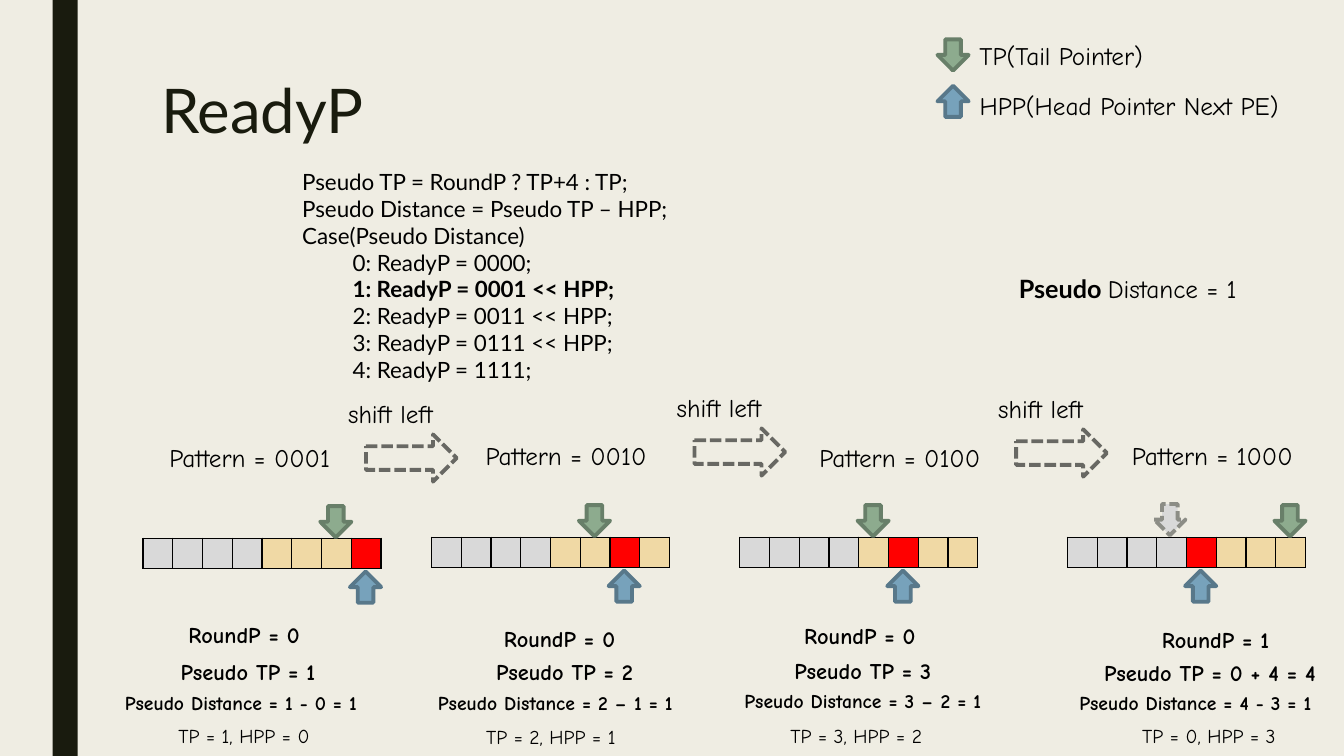
from dataclasses import dataclass

from lxml.etree import SubElement
from pptx import Presentation
from pptx.dml.color import RGBColor
from pptx.enum.dml import MSO_LINE
from pptx.enum.shapes import MSO_SHAPE
from pptx.enum.text import MSO_ANCHOR, MSO_AUTO_SIZE, PP_ALIGN
from pptx.oxml.ns import qn
from pptx.util import Pt


@dataclass(frozen=True)
class Theme:
    background: str = "EFEDE3"
    dark: str = "191B0E"
    black: str = "000000"
    red: str = "FF0000"
    sand: str = "F0D9A5"
    grey: str = "D9D9D9"
    green: str = "8DAB8E"
    green_edge: str = "687F69"
    blue: str = "77A2BB"
    blue_edge: str = "58788A"
    ghost_edge: str = "8C8D86"
    shift_edge: str = "686863"
    plain: str = "Lato"
    hand: str = "Comic Neue"
    title: int = 44
    large: int = 18
    medium: int = 16
    small: int = 14
    edge: float = 2.75


@dataclass(frozen=True)
class Step:
    cells: tuple
    tail: int
    head: int
    pattern: tuple
    round_p: tuple
    pseudo_tp: tuple
    distance: tuple
    pointers: tuple


CELL = 21.25
CELL_HEIGHT = 21.6
POINTER = 22.3

STEPS = [
    Step((102.2, 384.5), 6, 7, ("Pattern = 0001", 113.8, 312.5, 140),
         ("RoundP = 0", 95.8, 440, 157), ("Pseudo TP = 1 ", 113, 466.6, 134),
         ("Pseudo Distance = 1 - 0 = 1 ", 64.8, 490.3, 219.6),
         ("TP = 1, HPP = 0", 95.8, 513.4, 157)),
    Step((308.2, 383.8), 5, 6, ("Pattern = 0010", 339.8, 311, 140),
         ("RoundP = 0", 321.1, 442.8, 157), ("Pseudo TP = 2 ", 339.1, 466.6, 134),
         ("Pseudo Distance = 2 – 1 = 1 ", 290.9, 490.3, 216.7),
         ("TP = 2, HPP = 1", 316.1, 514.1, 154.8)),
    Step((528.5, 383.8), 4, 5, ("Pattern = 0100", 578.2, 312.5, 140),
         ("RoundP = 0", 535.7, 440.6, 157), ("Pseudo TP = 3 ", 552.2, 465.8, 134),
         ("Pseudo Distance = 3 – 2 = 1 ", 510.5, 488.9, 216.7),
         ("TP = 3, HPP = 2", 534.2, 513.4, 154.8)),
    Step((762.5, 383.8), 7, 4, ("Pattern = 1000", 801.4, 311, 143.3),
         ("RoundP = 1", 789.8, 443.5, 157), ("Pseudo TP = 0 + 4 = 4", 766.8, 467.3, 195),
         ("Pseudo Distance = 4 - 3 = 1 ", 746.6, 490.3, 219.6),
         ("TP = 0, HPP = 3", 786.2, 513.4, 154.8)),
]
GHOST_TAIL = 3
SHIFTS = [(261.4, 310.3), (496.1, 306), (725.8, 306.7)]
CODE_HEAD = [
    "Pseudo TP = RoundP ? TP+4 : TP;",
    "Pseudo Distance = Pseudo TP – HPP;",
    "Case(Pseudo Distance)",
]
CODE_CASES = [
    "0: ReadyP = 0000;",
    "1: ReadyP = 0001 << HPP;",
    "2: ReadyP = 0011 << HPP;",
    "3: ReadyP = 0111 << HPP;",
    "4: ReadyP = 1111;",
]
ACTIVE_CASE = CODE_CASES[1]


class Board:
    def __init__(self, slide, theme):
        self.slide = slide
        self.theme = theme
        slide.background.fill.solid()
        slide.background.fill.fore_color.rgb = RGBColor.from_string(theme.background)

    def format(self, run, size, font, bold=False, color=None):
        run.font.size = Pt(size)
        run.font.name = font
        run.font.bold = bold
        run.font.color.rgb = RGBColor.from_string(color or self.theme.black)

    def title(self, text, left, top, width, height):
        title = self.slide.shapes.title
        title.left, title.top, title.width, title.height = map(Pt, (left, top, width, height))
        frame = title.text_frame
        frame.text = text
        frame.vertical_anchor = MSO_ANCHOR.TOP
        frame.paragraphs[0].alignment = PP_ALIGN.LEFT
        frame.paragraphs[0].line_spacing = 0.89
        self.format(frame.paragraphs[0].runs[0], self.theme.title, self.theme.plain,
                    color=self.theme.dark)

    def label(self, text, left, top, width, size, font=None, bold=False,
              centred=False, wrap=False):
        lines = text.count("\n") + 1
        box = self.slide.shapes.add_textbox(
            Pt(left), Pt(top), Pt(width), Pt(size * 1.2 * lines + 7.4))
        frame = box.text_frame
        frame.text = text
        frame.word_wrap = wrap
        frame.auto_size = MSO_AUTO_SIZE.SHAPE_TO_FIT_TEXT
        for paragraph in frame.paragraphs:
            paragraph.alignment = PP_ALIGN.CENTER if centred else PP_ALIGN.LEFT
            self.format(paragraph.runs[0], size, font or self.theme.hand, bold)
        return frame

    def shape(self, kind, left, top, width, height, fill=None, edge=None, dashed=False):
        shape = self.slide.shapes.add_shape(kind, Pt(left), Pt(top), Pt(width), Pt(height))
        shape.shadow.inherit = False
        if fill:
            shape.fill.solid()
            shape.fill.fore_color.rgb = RGBColor.from_string(fill)
        else:
            shape.fill.background()
        if edge:
            shape.line.color.rgb = RGBColor.from_string(edge)
            shape.line.width = Pt(self.theme.edge)
            if dashed:
                shape.line.dash_style = MSO_LINE.SQUARE_DOT
        else:
            shape.line.fill.background()
        return shape

    def tail(self, left, top):
        self.shape(MSO_SHAPE.DOWN_ARROW, left, top, POINTER, POINTER,
                   self.theme.green, self.theme.green_edge)

    def head(self, left, top):
        self.shape(MSO_SHAPE.DOWN_ARROW, left, top, POINTER, POINTER,
                   self.theme.blue, self.theme.blue_edge).rotation = 180

    def cells(self, left, top, colors):
        table = self.slide.shapes.add_table(
            1, len(colors), Pt(left), Pt(top), Pt(CELL * len(colors)), Pt(CELL_HEIGHT)).table
        table.first_row = table.horz_banding = False
        for cell, color in zip(table.iter_cells(), colors):
            cell.margin_left = cell.margin_right = cell.margin_top = cell.margin_bottom = 0
            SubElement(cell.text_frame.paragraphs[0]._p, qn("a:endParaRPr"), sz="800")
            properties = cell._tc.get_or_add_tcPr()
            for side in ("lnL", "lnR", "lnT", "lnB"):
                border = SubElement(properties, qn(f"a:{side}"), w=str(Pt(1)))
                ink = SubElement(border, qn("a:solidFill"))
                SubElement(ink, qn("a:srgbClr"), val=self.theme.black)
            cell.fill.solid()
            cell.fill.fore_color.rgb = RGBColor.from_string(color)

    def step(self, step):
        theme = self.theme
        left, top = step.cells
        self.cells(left, top, [theme.grey] * 4)
        self.cells(left + 4 * CELL, top,
                   [theme.red if i == step.head else theme.sand for i in range(4, 8)])
        self.tail(left + step.tail * CELL - 1, top - 23)
        self.head(left + step.head * CELL - 1, top + 23.7)
        self.label(*step.pattern, theme.large)
        self.label(*step.round_p, theme.medium, bold=True, centred=True, wrap=True)
        self.label(*step.pseudo_tp, theme.medium, bold=True, centred=True)
        self.label(*step.distance, theme.small, bold=True, centred=True)
        self.label(*step.pointers, theme.small, centred=True, wrap=True)

    def shift(self, left, top):
        self.shape(MSO_SHAPE.RIGHT_ARROW, left, top, 64.8, 33.8,
                   edge=self.theme.shift_edge, dashed=True)
        self.label("shift left", left - 19.9, top - 29.5, 95, self.theme.large)

    def code(self, left, top, width):
        frame = self.label("\n".join(CODE_HEAD + CODE_CASES), left, top, width,
                           self.theme.medium, self.theme.plain, wrap=True)
        for paragraph in frame.paragraphs[len(CODE_HEAD):]:
            paragraph._p.get_or_add_pPr().set("marL", str(Pt(36)))
            paragraph.runs[0].font.bold = paragraph.text == ACTIVE_CASE


def main():
    deck = Presentation()
    deck.slide_width, deck.slide_height = Pt(960), Pt(540)
    theme = Theme()
    board = Board(deck.slides.add_slide(deck.slide_layouts[5]), theme)

    board.shape(MSO_SHAPE.RECTANGLE, 37.5, 0, 18, 540, theme.dark)
    board.title("ReadyP", 108, 54, 756, 116.6)
    board.tail(669.6, 28.1)
    board.head(669.6, 61.2)
    board.label("TP(Tail Pointer)", 692.6, 25.2, 155, theme.large, wrap=True)
    board.label("HPP(Head Pointer Next PE)", 692.6, 61.2, 251, theme.large, wrap=True)
    board.code(208.8, 116.6, 484)

    pseudo = board.label("Pseudo ", 720.7, 191.5, 178.6, theme.large, theme.plain, bold=True)
    distance = pseudo.paragraphs[0].add_run()
    distance.text = "Distance = 1"
    board.format(distance, theme.large, theme.hand)

    for step in STEPS:
        board.step(step)
    for left, top in SHIFTS:
        board.shift(left, top)
    last_left, last_top = STEPS[-1].cells
    board.shape(MSO_SHAPE.DOWN_ARROW, last_left + GHOST_TAIL * CELL - 1.8, last_top - 23.8,
                POINTER, POINTER, theme.grey, theme.ghost_edge, dashed=True)

    deck.save("out.pptx")


if __name__ == "__main__":
    main()
